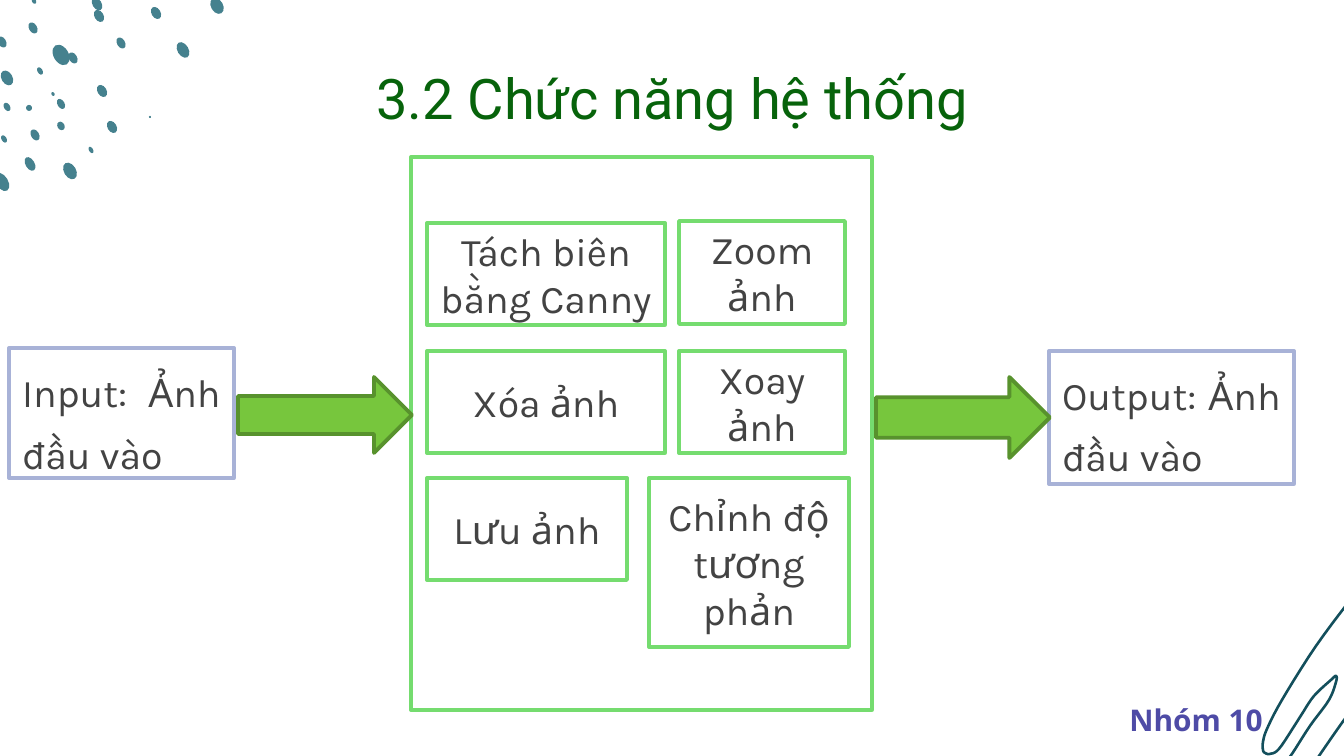
import pptx
import pptx.util
import pptx.dml.color
import pptx.enum.shapes
import pptx.enum.text

EMU_PER_PX = 914400 / 134.4
SHAPES = pptx.enum.shapes.MSO_SHAPE
ALIGN = pptx.enum.text.PP_ALIGN
ANCHOR = pptx.enum.text.MSO_ANCHOR

WHITE, GREEN, LILAC = "FFFFFF", "75DC6F", "A8B2D7"
TEAL, DARK_TEAL, GREY = "45818E", "134F5C", "434343"
ARROW_FILL, ARROW_LINE = "77C63D", "58922D"

DOT_ANGLE = 59.3
DOTS = [
    (2, 182, 20, 12), (61, 55, 22, 15), (40, 71, 8, 5), (53, 94, 4, 3),
    (29, 108, 6, 6), (4, 139, 8, 5), (30, 164, 15, 9), (35, 135, 12, 8),
    (7, 107, 9, 6), (61, 126, 9, 7), (61, 104, 11, 7), (102, 91, 13, 9),
    (73, 58, 12, 8), (121, 43, 12, 8), (99, 16, 13, 9), (97, 4, 14, 9),
    (156, 13, 13, 9), (150, 117, 2, 2), (112, 127, 13, 9), (91, 150, 7, 4),
    (70, 171, 18, 12), (7, 78, 16, 11), (2, 42, 12, 8), (33, 28, 12, 8),
    (34, 1, 6, 4), (183, 50, 17, 11), (217, 6, 17, 12),
]

SCRIBBLE = [
    (1354, 595), (1316, 646), (1282, 700), (1267, 729), (1263, 742),
    (1263, 750), (1265, 753), (1270, 754), (1279, 749), (1295, 725),
    (1302, 714), (1314, 696), (1331, 680), (1336, 676), (1336, 682),
    (1329, 700), (1310, 726), (1292, 754), (1282, 767), (1276, 778),
    (1274, 789), (1276, 795), (1283, 798), (1296, 792), (1304, 780),
    (1313, 765), (1337, 730), (1352, 710), (1370, 692), (1378, 691),
    (1378, 702), (1360, 741), (1340, 766), (1327, 784), (1309, 809),
    (1304, 821), (1305, 827), (1310, 827), (1323, 818), (1333, 808),
    (1349, 782), (1359, 763), (1388, 726), (1399, 718), (1406, 721),
    (1409, 730), (1400, 750), (1361, 801), (1340, 825), (1331, 841),
    (1332, 850), (1344, 855), (1356, 845), (1376, 816), (1418, 759),
]

SYSTEM_FRAME = (411, 157, 461, 553)
FUNCTIONS = [
    ("Tách biên bằng Canny", (427, 223, 238, 102)),
    ("Zoom ảnh", (679, 221, 166, 103)),
    ("Xoay ảnh", (679, 351, 166, 102)),
    ("Xóa ảnh", (427, 351, 238, 102)),
    ("Lưu ảnh", (427, 478, 200, 102)),
    ("Chỉnh độ tương phản", (649, 478, 200, 169)),
]
ENDS = [
    ("Input: Ảnh đầu vào", (9, 348, 225, 130)),
    ("Output: Ảnh đầu vào", (1049, 351, 245, 133)),
]
ARROWS = [(238, 377, 174, 76), (876, 377, 174, 81)]
TITLE = ("3.2 Chức năng hệ thống", (106, 50, 1133, 85))
TEAM = ("Nhóm 10", (913, 657, 566, 126))


def px(value):
    return round(value * EMU_PER_PX)


def color(value):
    return pptx.dml.color.RGBColor.from_string(value)


def paint(shape, fill, line=None, width=2):
    shape.shadow.inherit = False
    if fill:
        shape.fill.solid()
        shape.fill.fore_color.rgb = color(fill)
    else:
        shape.fill.background()
    if line:
        shape.line.color.rgb = color(line)
        shape.line.width = pptx.util.Pt(width)
    else:
        shape.line.fill.background()


def add_shape(page, kind, place, fill, line=None):
    shape = page.shapes.add_shape(kind, *map(px, place))
    paint(shape, fill, line)
    return shape


def write(shape, text, size, font, ink, align=ALIGN.CENTER, anchor=ANCHOR.MIDDLE, bold=False):
    frame = shape.text_frame
    frame.word_wrap = True
    frame.vertical_anchor = anchor
    para = frame.paragraphs[0]
    para.alignment = align
    span = para.add_run()
    span.text = text
    span.font.size = pptx.util.Pt(size)
    span.font.name = font
    span.font.bold = bold
    span.font.color.rgb = color(ink)
    return para


def add_text(page, text, place, *style, **options):
    box = page.shapes.add_textbox(*map(px, place))
    box.text_frame.margin_top = box.text_frame.margin_bottom = pptx.util.Inches(0.1)
    write(box, text, *style, **options)


def smooth(points, steps=5):
    padded = [points[0], *points, points[-1]]
    curve = [points[0]]
    for a, b, c, d in zip(padded, padded[1:], padded[2:], padded[3:]):
        for step in range(1, steps + 1):
            t = step / steps
            curve.append(tuple(
                (2 * q + (r - p) * t + (2 * p - 5 * q + 4 * r - s) * t ** 2
                 + (3 * q - p - 3 * r + s) * t ** 3) / 2
                for p, q, r, s in zip(a, b, c, d)))
    return curve


def add_scribble(page):
    curve = [(px(x), px(y)) for x, y in smooth(SCRIBBLE)]
    builder = page.shapes.build_freeform(*curve[0], scale=1.0)
    builder.add_line_segments(curve[1:], close=False)
    paint(builder.convert_to_shape(), None, DARK_TEAL, 1.4)


def add_dots(page):
    for x, y, width, height in DOTS:
        place = (x - width / 2, y - height / 2, width, height)
        add_shape(page, SHAPES.OVAL, place, TEAL).rotation = DOT_ANGLE


def add_diagram(page):
    add_shape(page, SHAPES.RECTANGLE, SYSTEM_FRAME, WHITE, GREEN)
    for text, place in ENDS:
        box = add_shape(page, SHAPES.RECTANGLE, place, WHITE, LILAC)
        para = write(box, text, 21, "Karla", GREY, ALIGN.JUSTIFY, ANCHOR.TOP)
        para.line_spacing = 1.3
        para.space_after = pptx.util.Pt(6)
    for place in ARROWS:
        add_shape(page, SHAPES.RIGHT_ARROW, place, ARROW_FILL, ARROW_LINE)
    for text, place in FUNCTIONS:
        box = add_shape(page, SHAPES.RECTANGLE, place, WHITE, GREEN)
        write(box, text, 21, "Karla", GREY)


def main():
    deck = pptx.Presentation()
    deck.slide_width, deck.slide_height = px(1344), px(756)
    page = deck.slides.add_slide(deck.slide_layouts[6])
    add_scribble(page)
    add_dots(page)
    add_text(page, *TEAM, 16, "Open Sans", "4E4BA6", bold=True)
    add_diagram(page)
    add_text(page, *TITLE, 30, "Roboto", "07630B", anchor=ANCHOR.TOP)
    deck.save("out.pptx")


if __name__ == "__main__":
    main()
